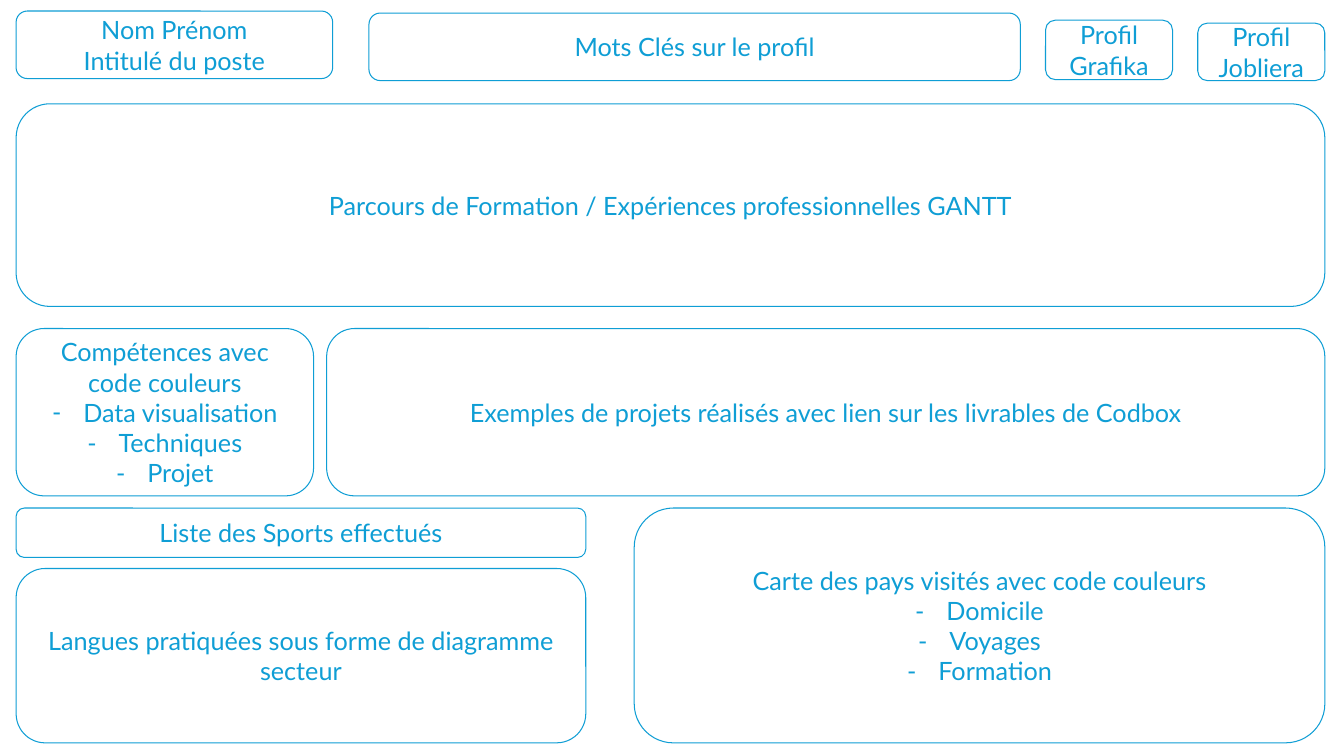
from lxml import etree
from pptx import Presentation
from pptx import util as u
from pptx.dml.color import RGBColor
from pptx.enum import shapes, text
from pptx.oxml.ns import qn

COLOURS = {"accent": "0F9ED5", "background": "FFFFFF"}
LEFT, RIGHT = 0.16, 13.14
MIDDLE_TOP, MIDDLE_HEIGHT = 3.26, 1.66
LOWER_TOP, BOTTOM = 5.04, 7.37
LOWER_LEFT_WIDTH = 5.65


def write_text(paragraph, content, *, font="Lato", size=18, colour="accent", bullet=None, indent=0.31):
    paragraph.alignment = text.PP_ALIGN.CENTER
    run = paragraph.add_run()
    run.text = content
    run.font.name = font
    run.font.size = u.Pt(size)
    run.font.color.rgb = RGBColor.from_string(COLOURS[colour])
    if bullet:
        properties = paragraph._p.get_or_add_pPr()
        properties.set("marL", str(u.Inches(indent)))
        properties.set("indent", str(u.Inches(-indent)))
        etree.SubElement(properties, qn("a:buFont"), typeface=font)
        etree.SubElement(properties, qn("a:buChar"), char=bullet)


class Wireframe:
    def __init__(self, presentation):
        self.line_width = u.Pt(0.75)
        self.line_colour = RGBColor.from_string(COLOURS["accent"])
        self.slide = presentation.slides.add_slide(presentation.slide_layouts[6])
        background = self.slide.background.fill
        background.solid()
        background.fore_color.rgb = RGBColor.from_string(COLOURS["background"])

    def box(self, left, top, width, height, lines, items=()):
        shape = self.slide.shapes.add_shape(
            shapes.MSO_SHAPE.ROUNDED_RECTANGLE, *map(u.Inches, (left, top, width, height))
        )
        shape.shadow.inherit = False
        shape.fill.background()
        shape.line.color.rgb = self.line_colour
        shape.line.width = self.line_width
        frame = shape.text_frame
        frame.word_wrap = True
        frame.vertical_anchor = text.MSO_ANCHOR.MIDDLE
        entries = [(line, None) for line in lines] + [(item, "-") for item in items]
        for index, (content, bullet) in enumerate(entries):
            paragraph = frame.add_paragraph() if index else frame.paragraphs[0]
            write_text(paragraph, content, bullet=bullet)


def main():
    presentation = Presentation()
    presentation.slide_width = u.Inches(13.33)
    presentation.slide_height = u.Inches(7.5)
    wireframe = Wireframe(presentation)

    wireframe.box(LEFT, 0.11, 3.14, 0.67, ["Nom Prénom", "Intitulé du poste"])
    wireframe.box(3.66, 0.13, 6.46, 0.67, ["Mots Clés sur le profil"])
    wireframe.box(10.37, 0.2, 1.26, 0.59, ["Profil Grafika"])
    wireframe.box(11.88, 0.23, 1.26, 0.57, ["Profil Jobliera"])

    wireframe.box(LEFT, 1.03, RIGHT - LEFT, 2.01,
                  ["Parcours de Formation / Expériences professionnelles GANTT"])

    wireframe.box(LEFT, MIDDLE_TOP, 2.95, MIDDLE_HEIGHT, ["Compétences avec code couleurs"],
                  ["Data visualisation", "Techniques", "Projet"])
    wireframe.box(3.24, MIDDLE_TOP, RIGHT - 3.24, MIDDLE_HEIGHT,
                  ["Exemples de projets réalisés avec lien sur les livrables de Codbox"])

    wireframe.box(LEFT, LOWER_TOP, LOWER_LEFT_WIDTH, 0.49, ["Liste des Sports effectués"])
    wireframe.box(LEFT, 5.64, LOWER_LEFT_WIDTH, BOTTOM - 5.64,
                  ["Langues pratiquées sous forme de diagramme secteur"])
    wireframe.box(6.29, LOWER_TOP, RIGHT - 6.29, BOTTOM - LOWER_TOP,
                  ["Carte des pays visités avec code couleurs"],
                  ["Domicile", "Voyages", "Formation"])

    presentation.save("out.pptx")


if __name__ == "__main__":
    main()
